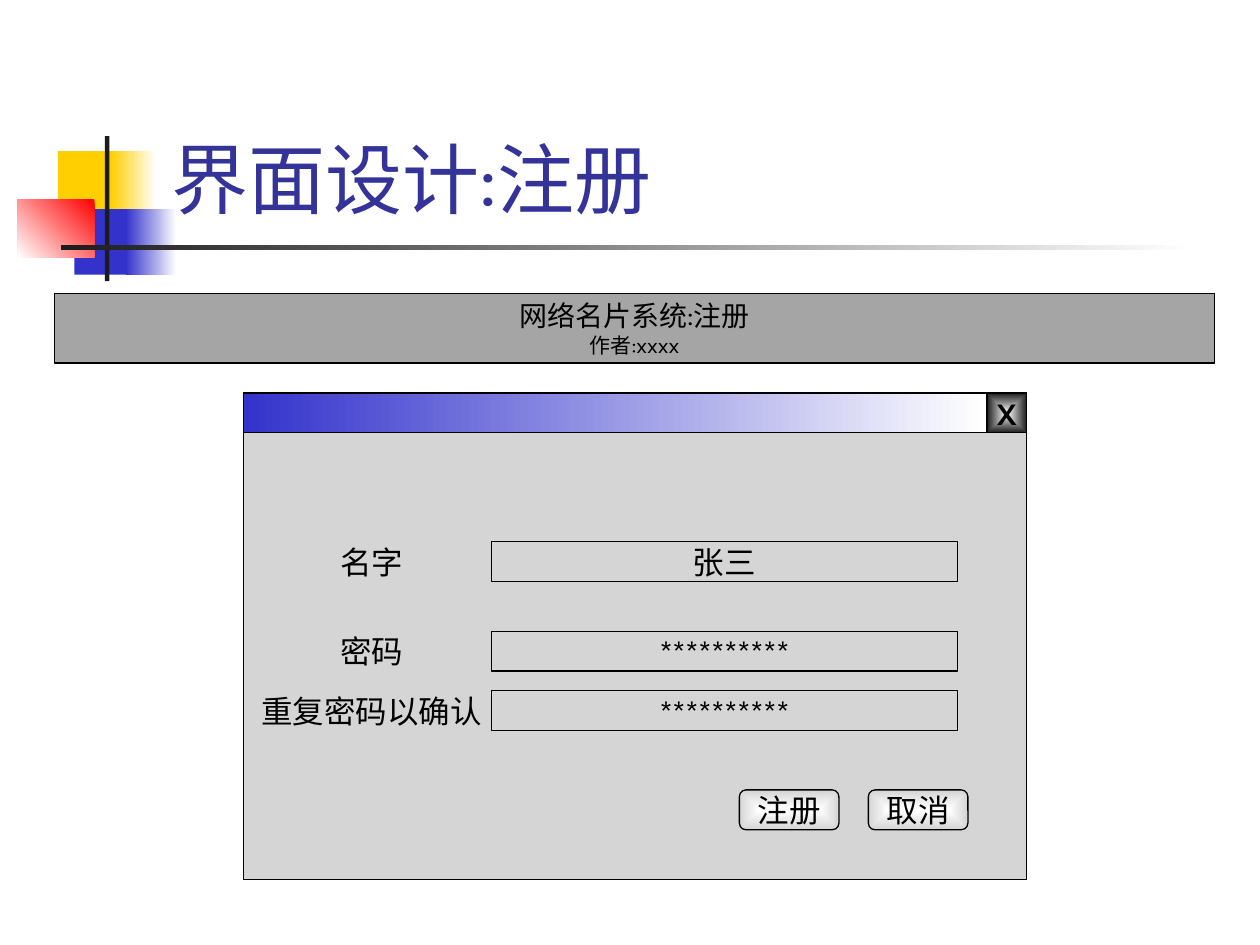
from lxml import etree
from pptx import Presentation
from pptx.dml.color import RGBColor
from pptx.enum.shapes import MSO_SHAPE
from pptx.enum.text import MSO_ANCHOR, MSO_AUTO_SIZE, PP_ALIGN
from pptx.oxml.ns import qn
from pptx.util import Pt

RECTANGLE = MSO_SHAPE.RECTANGLE
ROUNDED = MSO_SHAPE.ROUNDED_RECTANGLE
LEFT, CENTER = PP_ALIGN.LEFT, PP_ALIGN.CENTER
MIDDLE, BOTTOM = MSO_ANCHOR.MIDDLE, MSO_ANCHOR.BOTTOM
NO_AUTOFIT = MSO_AUTO_SIZE.NONE

FONT = "Karla"
COLORS = {
    "white": "FFFFFF", "black": "000000", "yellow": "FFCF01", "blue": "3333CC",
    "red": "FF0000", "dark": "1C1C1C", "title": "333399",
    "panel": "D5D5D5", "banner": "A5A5A5",
}
TITLE_BOX = (90.7, 16.6, 613.4, 115.2)
ORNAMENT_BOX = (10.1, 77.8, 672.5, 80.3)
BANNER_BOX = (31, 167.8, 663.1, 39.6)
WINDOW_BOX = (139, 224.6, 447.8, 277.9)
BAR_HEIGHT = 22.8


def color(name):
    return RGBColor.from_string(COLORS[name])


def set_gradient(shape, names, angle):
    shape.fill.gradient()
    for stop, name in zip(shape.fill.gradient_stops, names):
        stop.color.rgb = color(name)
    if angle is not None:
        shape.fill.gradient_angle = angle
        return
    linear = shape.element.spPr.find(qn("a:gradFill")).find(qn("a:lin"))
    center = etree.Element(qn("a:path"), path="rect")
    etree.SubElement(center, qn("a:fillToRect"),
                     {side: "50000" for side in "ltrb"})
    linear.getparent().replace(linear, center)


def add_box(slide, box, fill, line=None, angle=None, kind=RECTANGLE):
    shape = slide.shapes.add_shape(kind, *(Pt(length) for length in box))
    shape.shadow.inherit = False
    if isinstance(fill, tuple):
        set_gradient(shape, fill, angle)
    else:
        shape.fill.solid()
        shape.fill.fore_color.rgb = color(fill)
    if line:
        shape.line.color.rgb = color(line)
        shape.line.width = Pt(0.74)
    else:
        shape.line.fill.background()
    return shape


def set_font(paragraph, size, name="black", bold=False):
    paragraph.font.name = FONT
    paragraph.font.size = Pt(size)
    paragraph.font.bold = bold
    paragraph.font.color.rgb = color(name)


def write_centered(shape, lines, bold=False):
    frame = shape.text_frame
    frame.word_wrap = False
    frame.vertical_anchor = MIDDLE
    frame.text = "\n".join(text for text, size in lines)
    for paragraph, (text, size) in zip(frame.paragraphs, lines):
        paragraph.alignment = CENTER
        set_font(paragraph, size, bold=bold)


def add_ornament(slide, box):
    left, top, width, height = box
    parts = [
        ((23, 8.6, 34.6, 37.4), "yellow", None),
        ((53.3, 8.6, 25.9, 37.4), ("white", "yellow"), 180),
        ((32.4, 41.7, 33.1, 37.4), "blue", None),
        ((61.9, 41.7, 28.8, 37.4), ("white", "blue"), 180),
        ((0, 36, 43.9, 33.1), ("red", "white"), 225),
        ((49.9, 0, 2.5, height + 2.5), "dark", None),
        ((24.5, 62.4, width - 24.5, 2.5), ("white", "dark"), 180),
    ]
    for (x, y, part_width, part_height), fill, angle in parts:
        add_box(slide, (left + x, top + y, part_width, part_height),
                fill, angle=angle)


def place_title(slide, box, text):
    title = slide.shapes.title
    title.left, title.top, title.width, title.height = map(Pt, box)
    frame = title.text_frame
    frame.text = text
    frame.word_wrap = True
    frame.auto_size = NO_AUTOFIT
    frame.vertical_anchor = BOTTOM
    frame.paragraphs[0].alignment = LEFT
    set_font(frame.paragraphs[0], 44, "title")
    slide.shapes.element.append(title.element)


def add_banner(slide, box):
    banner = add_box(slide, box, "banner", "black")
    write_centered(banner, [("网络名片系统:注册".replace(":", ":"), 16), ("作者:xxxx", 12)])


def add_window(slide, box):
    left, top, width, height = box
    bar_width = width - BAR_HEIGHT
    add_box(slide, box, "panel", "black")
    add_box(slide, (left, top, bar_width, BAR_HEIGHT),
            ("white", "blue"), "black", 180)
    close = add_box(slide, (left + bar_width, top, BAR_HEIGHT, BAR_HEIGHT),
                    ("white", "dark"), "black")
    write_centered(close, [("X", 18)], bold=True)

    fields = [("名字", "张三", 85), ("密码", "*" * 10, 136.1),
              ("重复密码以确认", "*" * 10, 170)]
    for label, value, y in fields:
        for text, x, field_width, line in ((label, 28, 90.7, "panel"),
                                           (value, 141.8, 266.4, "black")):
            field = add_box(slide, (left + x, top + y, field_width, BAR_HEIGHT),
                            "panel", line)
            write_centered(field, [(text, 18)])

    for index, text in enumerate(("注册", "取消")):
        button = add_box(
            slide, (left + 283.5 + 73.7 * index, top + 226.8, 56.9, BAR_HEIGHT),
            ("white", "panel"), "black", kind=ROUNDED)
        write_centered(button, [(text, 18)])


presentation = Presentation()
presentation.slide_width, presentation.slide_height = Pt(720), Pt(540)
slide = presentation.slides.add_slide(presentation.slide_layouts[5])
add_ornament(slide, ORNAMENT_BOX)
place_title(slide, TITLE_BOX, "界面设计:注册")
add_window(slide, WINDOW_BOX)
add_banner(slide, BANNER_BOX)
presentation.save("out.pptx")
